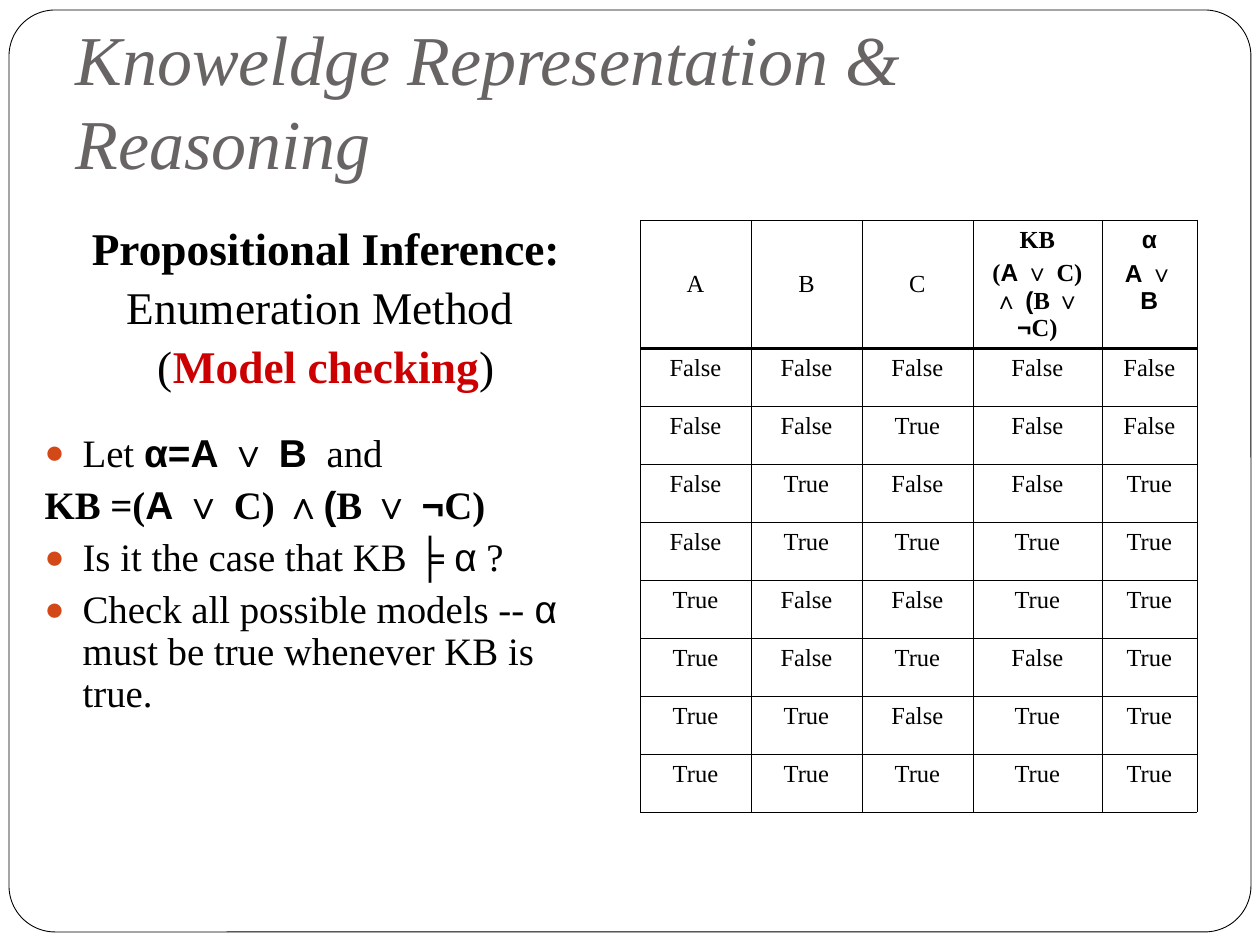
from itertools import product
from lxml import etree
from pptx import Presentation
from pptx import util as u
from pptx.dml.color import RGBColor
from pptx.enum import shapes, text
from pptx.oxml import ns

PX = 914400 // 126
BLACK = RGBColor(0x00, 0x00, 0x00)
WHITE = RGBColor(0xFF, 0xFF, 0xFF)
GRAY = RGBColor(0x69, 0x64, 0x64)
RED = RGBColor(0xCC, 0x00, 0x00)
ORANGE = RGBColor(0xD3, 0x48, 0x17)

SERIF = {"name": "Times New Roman", "bold": False, "color": BLACK}
SERIF_BOLD = {**SERIF, "bold": True}
SANS = {**SERIF, "name": "Arial"}
SANS_BOLD = {**SANS, "bold": True}
RED_BOLD = {**SERIF_BOLD, "color": RED}
TITLE_FORMAT = {**SERIF, "italic": True, "color": GRAY}

TITLE = [("Knoweldge Representation & Reasoning", TITLE_FORMAT)]
HEADING = {"size": 25.9, "align": text.PP_ALIGN.CENTER, "before": 5.8}
FIRST_HEADING = {**HEADING, "before": 0}
ITEM = {"size": 22.2, "align": text.PP_ALIGN.LEFT, "before": 5.8, "bullet": "●"}
FIRST_ITEM = {**ITEM, "before": 23}
PLAIN_ITEM = {**ITEM, "bullet": None}
BODY = [
    (FIRST_HEADING, [("Propositional Inference:", SERIF_BOLD)]),
    (HEADING, [("Enumeration Method ", SERIF)]),
    (HEADING, [("(", SERIF), ("Model checking", RED_BOLD), (")", SERIF)]),
    (FIRST_ITEM, [("Let ", SERIF), ("α=Α ∨ Β", SANS_BOLD), ("  and", SERIF)]),
    (PLAIN_ITEM, [("KB =(", SERIF_BOLD), ("Α ∨ ", SANS_BOLD), ("C) ", SERIF_BOLD),
                  ("∧(", SANS_BOLD), ("B ", SERIF_BOLD), ("∨ ¬", SANS_BOLD),
                  ("C)", SERIF_BOLD)]),
    (ITEM, [("Is it the case that KB ╞ ", SERIF), ("α", SANS), (" ?", SERIF)]),
    (ITEM, [("Check all possible models -- ", SERIF), ("α", SANS),
            (" must be true whenever KB is true.", SERIF)]),
]
HEADER = [
    [[("A", SERIF)]],
    [[("B", SERIF)]],
    [[("C", SERIF)]],
    [[("KB", SERIF_BOLD)],
     [("(", SERIF_BOLD), ("Α ∨ ", SANS_BOLD), ("C) ", SERIF_BOLD), ("∧ (", SANS_BOLD),
      ("B ", SERIF_BOLD), ("∨ ¬", SANS_BOLD), ("C)", SERIF_BOLD)]],
    [[("α", SANS_BOLD)], [("Α ∨ Β", SANS_BOLD)]],
]
MODELS = [(a, b, c, (a or c) and (b or not c), a or b)
          for a, b, c in product((False, True), repeat=3)]
ROWS = [HEADER] + [[[[(str(value), SERIF)]] for value in model] for model in MODELS]

FRAME_AT = (9, 10, 1242, 922)
TITLE_AT = (63, 38, 1134, 158)
BODY_AT = (32, 220, 588, 624)
TABLE_AT = (640, 220, 557, 571)
COLUMN_WIDTHS = (111, 111, 111, 129, 95)
HEADER_HEIGHT, ROW_HEIGHT = 107, 58
HANGING = 38
TABLE_SIZE, TABLE_GAP = 14, 3.5
THIN, THICK = 0.11, 1.47


def scaled(lengths):
    return [length * PX for length in lengths]


def place(shape, bounds):
    for name, value in zip(("left", "top", "width", "height"), scaled(bounds)):
        setattr(shape, name, value)


def write(para, spans, size):
    for words, style in spans:
        span = para.add_run()
        span.text = words
        span.font.size = u.Pt(size)
        for name, value in style.items():
            if name == "color":
                span.font.color.rgb = value
            else:
                setattr(span.font, name, value)


def paragraphs(frame, count):
    return [frame.paragraphs[0]] + [frame.add_paragraph() for _ in range(count - 1)]


def add_child(parent, tag, **attributes):
    return etree.SubElement(parent, ns.qn(tag), **attributes)


def set_bullet(para, symbol):
    props = para._p.get_or_add_pPr()
    props.set("marL", str(HANGING * PX))
    props.set("indent", str(-HANGING * PX))
    if symbol is None:
        add_child(props, "a:buNone")
        return
    color = add_child(props, "a:buClr")
    add_child(color, "a:srgbClr", val=str(ORANGE))
    add_child(props, "a:buSzPct", val="85000")
    add_child(props, "a:buFont", typeface="Arial")
    add_child(props, "a:buChar", char=symbol)


def set_borders(cell, widths):
    props = cell._tc.get_or_add_tcPr()
    for index, (side, width) in enumerate(zip("LRTB", widths)):
        line = etree.Element(ns.qn(f"a:ln{side}"), w=str(int(u.Pt(width))))
        add_child(add_child(line, "a:solidFill"), "a:srgbClr", val=str(BLACK))
        props.insert(index, line)


def add_frame(page, title):
    frame = page.shapes.add_shape(shapes.MSO_SHAPE.ROUNDED_RECTANGLE, *scaled(FRAME_AT))
    frame.adjustments[0] = 0.05
    frame.shadow.inherit = False
    frame.fill.solid()
    frame.fill.fore_color.rgb = WHITE
    frame.line.color.rgb = BLACK
    frame.line.width = u.Pt(0.5)
    title._element.addprevious(frame._element)


def fill_title(title):
    place(title, TITLE_AT)
    box = title.text_frame
    for name, value in {"vertical_anchor": text.MSO_ANCHOR.BOTTOM, "word_wrap": True,
                        "auto_size": text.MSO_AUTO_SIZE.NONE,
                        "margin_bottom": u.Inches(0.1)}.items():
        setattr(box, name, value)
    box.paragraphs[0].alignment = text.PP_ALIGN.LEFT
    write(box.paragraphs[0], TITLE, 40)


def fill_body(body):
    place(body, BODY_AT)
    box = body.text_frame
    box.auto_size = text.MSO_AUTO_SIZE.NONE
    for para, (style, spans) in zip(paragraphs(box, len(BODY)), BODY):
        para.alignment = style["align"]
        para.line_spacing = 0.9
        para.space_before = u.Pt(style["before"])
        set_bullet(para, style.get("bullet"))
        write(para, spans, style["size"])


def add_truth_table(page):
    table = page.shapes.add_table(len(ROWS), len(HEADER), *scaled(TABLE_AT)).table
    for column, width in zip(table.columns, scaled(COLUMN_WIDTHS)):
        column.width = width
    for r, row in enumerate(ROWS):
        table.rows[r].height = (ROW_HEIGHT if r else HEADER_HEIGHT) * PX
        top, bottom = THICK if r == 1 else THIN, THIN if r else THICK
        for c, lines in enumerate(row):
            cell = table.cell(r, c)
            cell.fill.solid()
            cell.fill.fore_color.rgb = WHITE
            middle = r == 0 and len(lines) == 1
            cell.vertical_anchor = text.MSO_ANCHOR.MIDDLE if middle else text.MSO_ANCHOR.TOP
            set_borders(cell, (THIN, THIN, top, bottom))
            for i, para in enumerate(paragraphs(cell.text_frame, len(lines))):
                para.alignment = text.PP_ALIGN.CENTER
                para.space_before = u.Pt(TABLE_GAP if i else 0)
                write(para, lines[i], TABLE_SIZE)


def main():
    deck = Presentation()
    deck.slide_width, deck.slide_height = scaled((1260, 945))
    page = deck.slides.add_slide(deck.slide_layouts[1])
    title, body = page.placeholders
    add_frame(page, title)
    fill_title(title)
    fill_body(body)
    add_truth_table(page)
    deck.save("out.pptx")


if __name__ == "__main__":
    main()
